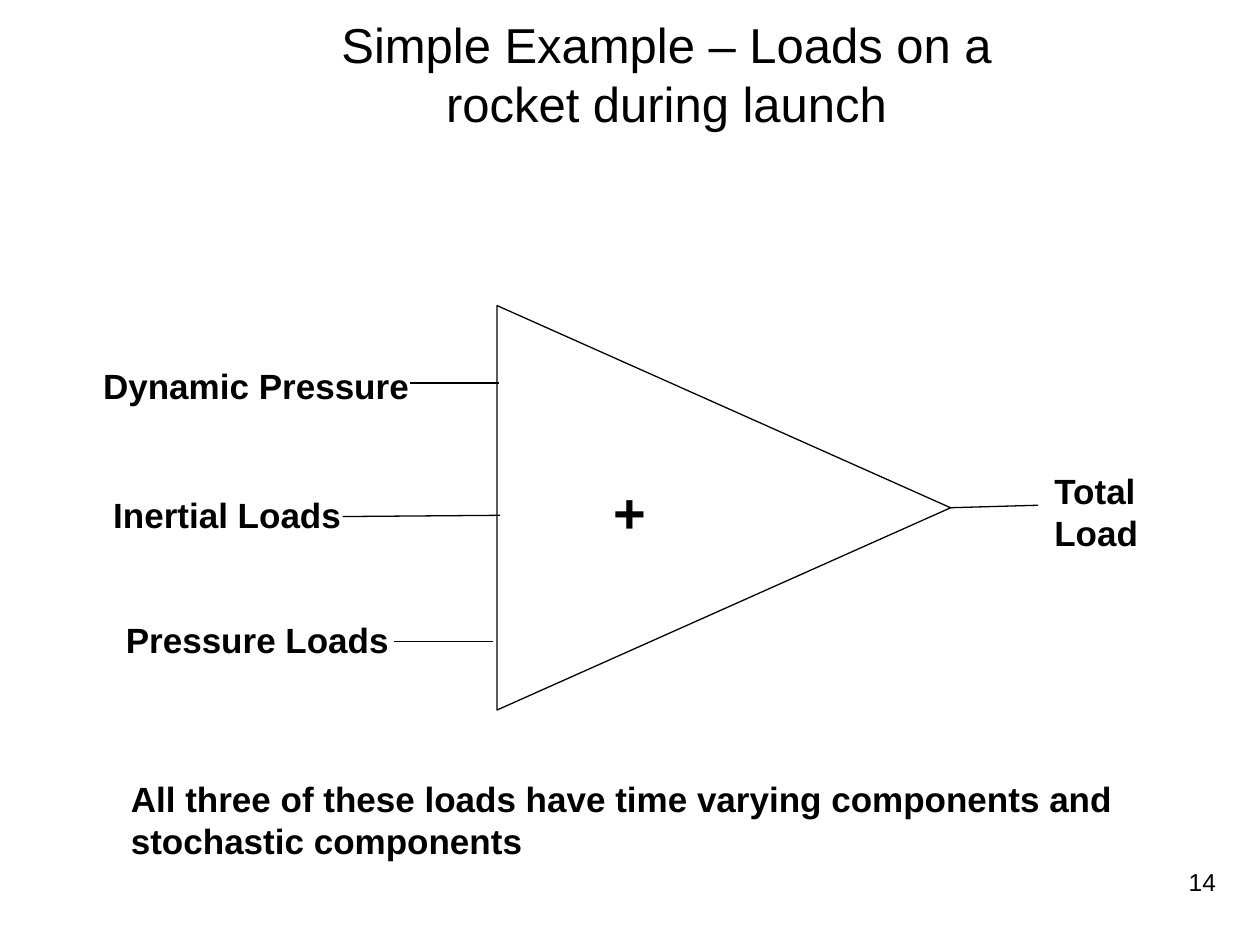
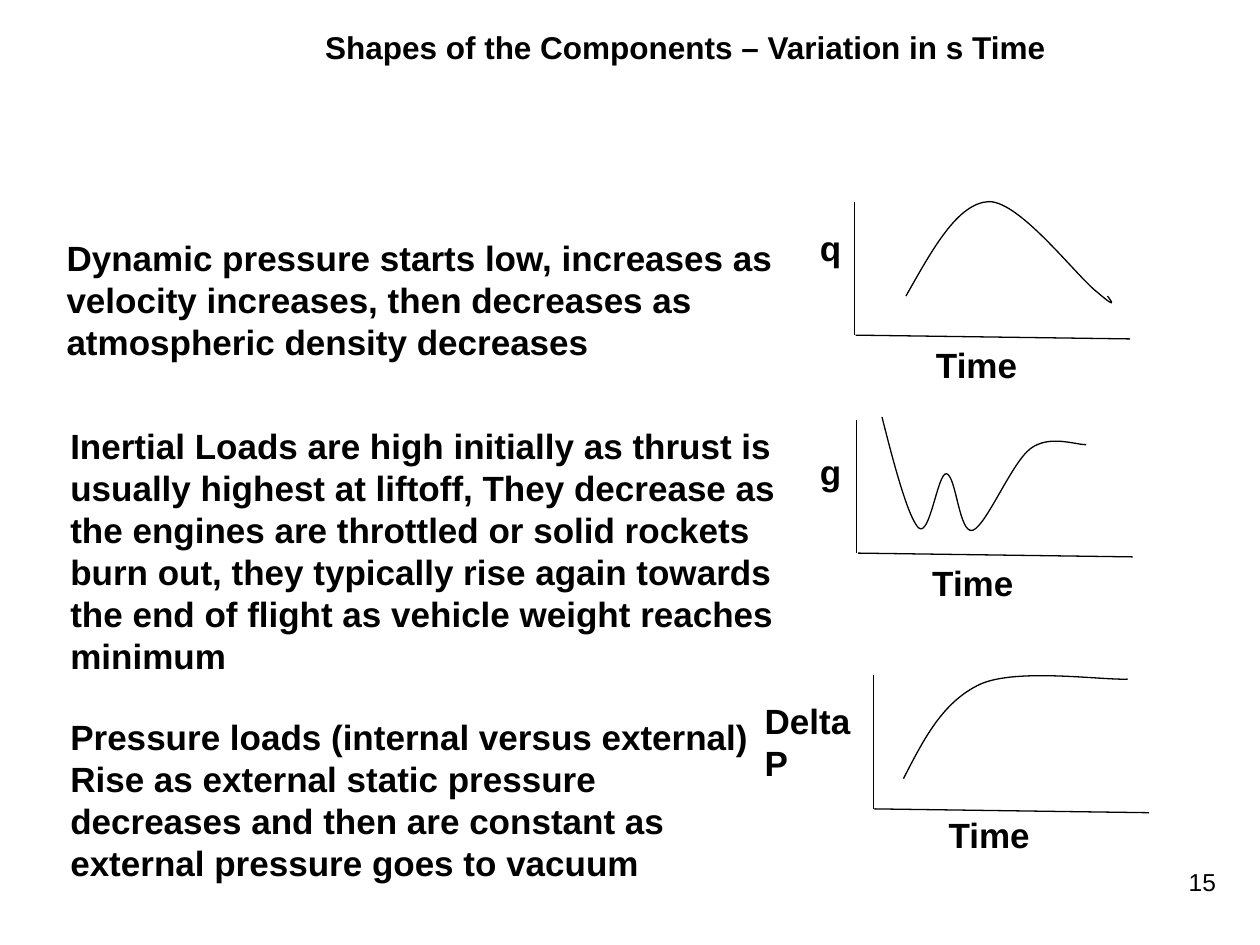
import pptx
import pptx.util
import pptx.dml.color
import pptx.enum.shapes
import pptx.enum.text
import pptx.oxml.ns
import lxml.etree

# Content: lengths in inches, sizes in points
INK = "000000"
FONT = "Arial"
LINE_WIDTH = 0.75
LABEL_SIZE = 20

SUM_TITLE = "Simple Example – Loads on a rocket during launch"
# label, label box, start and end of its line at the triangle
LOADS = [
    ("Dynamic Pressure", (0.72, 2.84, 2.63, 0.44), (3.25, 3.04), (3.96, 3.04)),
    ("Inertial Loads", (0.8, 3.87, 2.01, 0.44), (2.72, 4.1), (3.97, 4.09)),
    ("Pressure Loads", (0.9, 4.86, 2.29, 0.44), (3.13, 5.09), (3.91, 5.09)),
]
TOTAL = ("Total\nLoad", (8.27, 3.68, 0.87, 0.77), (7.53, 4.03), (8.24, 4.01))
SUMMARY = "All three of these loads have time varying components and stochastic components"

SHAPES_TITLE = "Shapes of the Components – Variation in s Time"
# Each curve is a start point followed by cubic segments (two controls, one end)
COMPONENTS = [
    {
        "text": "Dynamic pressure starts low, increases as velocity increases, "
                "then decreases as atmospheric density decreases",
        "text_box": (0.43, 1.83, 6.06, 1.1),
        "axis": "q", "axis_box": (6.41, 1.75, 0.37, 0.44), "axis_wrap": False,
        "time_box": (7.33, 2.68, 0.85, 0.44),
        "axes_top": (6.78, 1.6),
        "curve": [(7.19, 2.35),
                  (7.4, 1.98), (7.6, 1.61), (7.85, 1.6),
                  (8.1, 1.6), (8.55, 2.2), (8.71, 2.32),
                  (8.86, 2.45), (8.83, 2.4), (8.79, 2.35)],
    },
    {
        "text": "Inertial Loads are high initially as thrust is usually highest at "
                "liftoff, They decrease as the engines are throttled or solid rockets "
                "burn out, they typically rise again towards the end of flight as "
                "vehicle weight reaches minimum",
        "text_box": (0.46, 3.32, 6.06, 2.1),
        "axis": "g", "axis_box": (6.41, 3.53, 0.37, 0.44), "axis_wrap": False,
        "time_box": (7.3, 4.41, 0.85, 0.44),
        "axes_top": (6.8, 3.33),
        "curve": [(7, 3.31),
                  (7.1, 3.71), (7.21, 4.11), (7.29, 4.19),
                  (7.38, 4.27), (7.44, 3.76), (7.51, 3.76),
                  (7.59, 3.77), (7.61, 4.24), (7.72, 4.21),
                  (7.83, 4.17), (8.03, 3.67), (8.18, 3.56),
                  (8.33, 3.45), (8.53, 3.53), (8.62, 3.53)],
    },
    {
        "text": "Pressure loads (internal versus external)\n"
                "Rise as external static pressure decreases and then are constant as "
                "external pressure goes to vacuum",
        "text_box": (0.46, 5.63, 5.64, 1.44),
        "axis": "Delta P", "axis_box": (5.97, 5.5, 0.91, 0.77), "axis_wrap": True,
        "time_box": (7.43, 6.41, 0.85, 0.44),
        "axes_top": (6.93, 5.36),
        "curve": [(7.17, 6.18),
                  (7.33, 5.87), (7.48, 5.57), (7.78, 5.43),
                  (8.07, 5.3), (8.75, 5.4), (8.95, 5.39)],
    },
]
AXIS_HEIGHT, AXIS_LENGTH, AXIS_GAP, AXIS_DROP = 1.06, 2.18, 0.01, 0.03


# Shared helpers
def color(hex_text):
    return pptx.dml.color.RGBColor.from_string(hex_text)


def inches(values):
    return [pptx.util.Inches(value) for value in values]


def style_text(frame, size, bold, align):
    for paragraph in frame.paragraphs:
        paragraph.alignment = align
        for run in paragraph.runs:
            run.font.name = FONT
            run.font.size = pptx.util.Pt(size)
            run.font.bold = bold
            run.font.color.rgb = color(INK)


def style_line(line):
    line.color.rgb = color(INK)
    line.width = pptx.util.Pt(LINE_WIDTH)


def add_text(slide, text, box, wrap=False, size=LABEL_SIZE, bold=True,
             align=pptx.enum.text.PP_ALIGN.LEFT):
    frame = slide.shapes.add_textbox(*inches(box)).text_frame
    frame.word_wrap = wrap
    frame.auto_size = pptx.enum.text.MSO_AUTO_SIZE.SHAPE_TO_FIT_TEXT
    frame.text = text
    style_text(frame, size, bold, align)
    return frame


def add_line(slide, start, end):
    line = slide.shapes.add_connector(
        pptx.enum.shapes.MSO_CONNECTOR.STRAIGHT, *inches(start + end))
    style_line(line.line)
    lxml.etree.SubElement(line.element.spPr, pptx.oxml.ns.qn("a:effectLst"))


def add_curve(slide, points):
    builder = slide.shapes.build_freeform(*inches(points[0]))
    builder.add_line_segments([inches(point) for point in points[1:]], close=False)
    curve = builder.convert_to_shape()
    curve.shadow.inherit = False
    curve.fill.background()
    style_line(curve.line)
    # Join each three straight segments into one cubic segment
    segments = list(curve.element.iter(pptx.oxml.ns.qn("a:lnTo")))
    outline = segments[0].getparent()
    for first in range(0, len(segments), 3):
        cubic = lxml.etree.SubElement(outline, pptx.oxml.ns.qn("a:cubicBezTo"))
        for segment in segments[first:first + 3]:
            cubic.append(segment[0])
            outline.remove(segment)


def add_slide(deck, number, title, box, size, bold, anchor):
    slide = deck.slides.add_slide(deck.slide_layouts[5])
    heading = slide.shapes.title
    heading.left, heading.top, heading.width, heading.height = inches(box)
    frame = heading.text_frame
    frame.text = title
    frame.auto_size = pptx.enum.text.MSO_AUTO_SIZE.NONE
    frame.vertical_anchor = anchor
    style_text(frame, size, bold, pptx.enum.text.PP_ALIGN.CENTER)
    page = add_text(slide, str(number), (7.42, 6.83, 2.33, 0.52), wrap=True, size=14,
                    bold=False, align=pptx.enum.text.PP_ALIGN.RIGHT)
    page.auto_size = pptx.enum.text.MSO_AUTO_SIZE.NONE
    return slide


# Slide with the loads summed by a triangle
def build_sum(deck):
    slide = add_slide(deck, 14, SUM_TITLE, (2.41, 0.17, 5.76, 0.83), 28, False,
                      pptx.enum.text.MSO_ANCHOR.MIDDLE)
    adder = slide.shapes.add_shape(
        pptx.enum.shapes.MSO_SHAPE.ISOSCELES_TRIANGLE, *inches((4.14, 2.23, 3.21, 3.6)))
    adder.rotation = 90
    adder.shadow.inherit = False
    adder.fill.background()
    style_line(adder.line)
    add_text(slide, "+", (4.77, 3.74, 0.46, 0.64), size=32)
    for label, box, start, end in LOADS + [TOTAL]:
        add_text(slide, label, box)
        add_line(slide, start, end)
    add_text(slide, SUMMARY, (0.94, 6.12, 8.42, 0.77), wrap=True)


# Slide with one sketched plot for each component
def build_shapes(deck):
    slide = add_slide(deck, 15, SHAPES_TITLE, (1.64, 0.17, 7.6, 0.75), 18, True,
                      pptx.enum.text.MSO_ANCHOR.TOP)
    for part in COMPONENTS:
        add_text(slide, part["text"], part["text_box"], wrap=True)
        add_text(slide, part["axis"], part["axis_box"], wrap=part["axis_wrap"])
        add_text(slide, "Time", part["time_box"])
        left, top = part["axes_top"]
        base, start = top + AXIS_HEIGHT, left + AXIS_GAP
        add_line(slide, (left, top), (left, base))
        add_line(slide, (start, base), (start + AXIS_LENGTH, base + AXIS_DROP))
        add_curve(slide, part["curve"])


def main():
    deck = pptx.Presentation()
    deck.slide_width, deck.slide_height = inches((10, 7.5))
    build_sum(deck)
    build_shapes(deck)
    deck.save("out.pptx")


if __name__ == "__main__":
    main()
